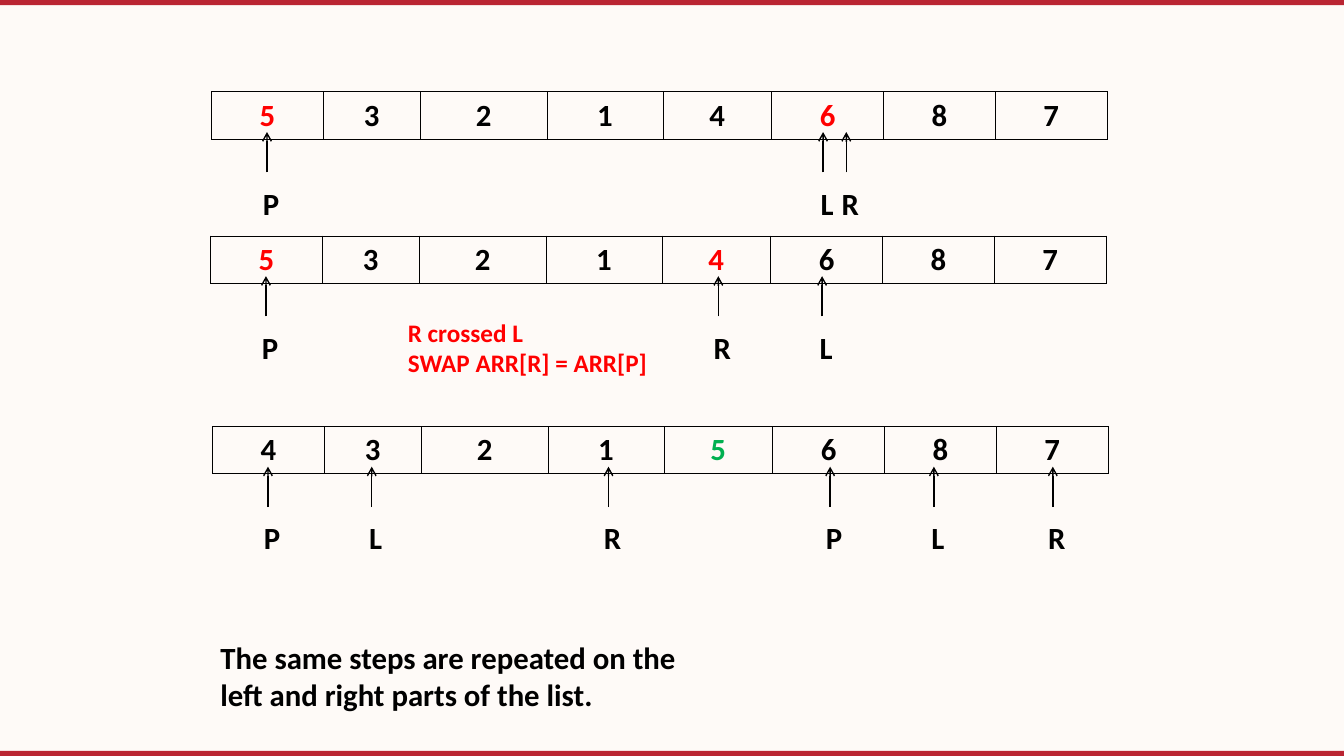
"""Build a slide tracing the pointers of a quicksort partition."""
import pptx
import pptx.dml.color
import pptx.enum.shapes
import pptx.enum.text
import pptx.oxml
import pptx.oxml.ns
import pptx.util
from pptx.util import Inches

COLORS = {"background": "FEFAF7", "bar": "BA2532", "ink": "000000",
          "marked": "FF0000", "placed": "00B050"}
SLIDE_WIDTH, SLIDE_HEIGHT, BAR_HEIGHT = 13.34, 7.5, 0.05
COLUMN_WIDTHS = [1.11, 0.96, 1.26, 1.15, 1.08, 1.11, 1.11, 1.11]
ROW_HEIGHT = 0.47
ARROW_START, ARROW_END = 0.8, 0.4
LABEL_SHIFT, LABEL_DROP, LABEL_WIDTH = 0.31, 0.87, 0.7

STEPS = [
    {"left": 2.1, "top": 0.91, "values": "53214687",
     "highlights": {0: "marked", 5: "marked"},
     "pointers": [("P", 2.65), ("L", 8.17), ("R", 8.4)]},
    {"left": 2.09, "top": 2.34, "values": "53214687",
     "highlights": {0: "marked", 4: "marked"},
     "pointers": [("P", 2.64), ("R", 7.13), ("L", 8.16)]},
    {"left": 2.11, "top": 4.23, "values": "43215687",
     "highlights": {4: "placed"},
     "pointers": [("P", 2.66), ("L", 3.69), ("R", 6.04),
                  ("P", 8.24), ("L", 9.27), ("R", 10.45)]},
]
NOTES = [
    {"lines": ["The same steps are repeated on the left and right parts of the list."],
     "box": (2.09, 6.29, 4.96, 0.84), "size": 22, "color": "ink"},
    {"lines": ["R crossed L", "SWAP ARR[R] = ARR[P]"],
     "box": (3.95, 3.1, 3.55, 0.7), "size": 18, "color": "marked"},
]


def rgb(name):
    """Return the named colour."""
    return pptx.dml.color.RGBColor.from_string(COLORS[name])


def write(frame, lines, size=22, color="ink", centered=True):
    """Fill a text frame with bold lines."""
    frame.text = "\n".join(lines)
    align = pptx.enum.text.PP_ALIGN
    font_format = {"name": "Calibri", "size": pptx.util.Pt(size), "bold": True}
    for paragraph in frame.paragraphs:
        paragraph.alignment = align.CENTER if centered else align.LEFT
        for attribute, value in font_format.items():
            setattr(paragraph.font, attribute, value)
        paragraph.font.color.rgb = rgb(color)


def add_label(slide, box, lines, **text_format):
    """Add a wrapped text box."""
    frame = slide.shapes.add_textbox(*map(Inches, box)).text_frame
    frame.word_wrap = True
    write(frame, lines, **text_format)


def add_array(slide, step):
    """Add one row of bordered array cells."""
    table = slide.shapes.add_table(
        1, len(COLUMN_WIDTHS), Inches(step["left"]), Inches(step["top"]),
        Inches(sum(COLUMN_WIDTHS)), Inches(ROW_HEIGHT)).table
    table.first_row = table.horz_banding = False
    for index, (width, value) in enumerate(zip(COLUMN_WIDTHS, step["values"])):
        table.columns[index].width = Inches(width)
        cell = table.cell(0, index)
        write(cell.text_frame, [value], color=step["highlights"].get(index, "ink"))
        properties = cell._tc.get_or_add_tcPr()
        for side in ("lnL", "lnR", "lnT", "lnB"):
            properties.append(pptx.oxml.parse_xml(
                f'<a:{side} {pptx.oxml.ns.nsdecls("a")} w="{pptx.util.Pt(0.45)}">'
                f'<a:solidFill><a:srgbClr val="{COLORS["ink"]}"/></a:solidFill></a:{side}>'))
        cell.fill.background()


def add_pointer(slide, name, x, top):
    """Add a labelled arrow pointing up at an array cell."""
    arrow = slide.shapes.add_connector(
        pptx.enum.shapes.MSO_CONNECTOR.STRAIGHT,
        Inches(x), Inches(top + ARROW_START), Inches(x), Inches(top + ARROW_END))
    arrow.line.color.rgb = rgb("ink")
    arrow.line.width = pptx.util.Pt(1)
    namespace = pptx.oxml.ns.nsdecls("a")
    arrow.line._get_or_add_ln().append(
        pptx.oxml.parse_xml(f'<a:tailEnd {namespace} type="arrow"/>'))
    arrow._element.spPr.append(pptx.oxml.parse_xml(f"<a:effectLst {namespace}/>"))
    add_label(slide, (x - LABEL_SHIFT, top + LABEL_DROP, LABEL_WIDTH, ROW_HEIGHT), [name])


def main():
    """Assemble and save the slide."""
    deck = pptx.Presentation()
    deck.slide_width, deck.slide_height = Inches(SLIDE_WIDTH), Inches(SLIDE_HEIGHT)
    slide = deck.slides.add_slide(deck.slide_layouts[6])
    slide.background.fill.solid()
    slide.background.fill.fore_color.rgb = rgb("background")
    for top in (SLIDE_HEIGHT - BAR_HEIGHT, 0):
        bar = slide.shapes.add_shape(
            pptx.enum.shapes.MSO_SHAPE.RECTANGLE,
            0, Inches(top), Inches(SLIDE_WIDTH), Inches(BAR_HEIGHT))
        bar.shadow.inherit = False
        bar.fill.solid()
        bar.fill.fore_color.rgb = rgb("bar")
        bar.line.fill.background()
    for step in STEPS:
        add_array(slide, step)
        for name, x in step["pointers"]:
            add_pointer(slide, name, x, step["top"])
    for note in NOTES:
        add_label(slide, note["box"], note["lines"], size=note["size"],
                  color=note["color"], centered=False)
    deck.save("out.pptx")


if __name__ == "__main__":
    main()
